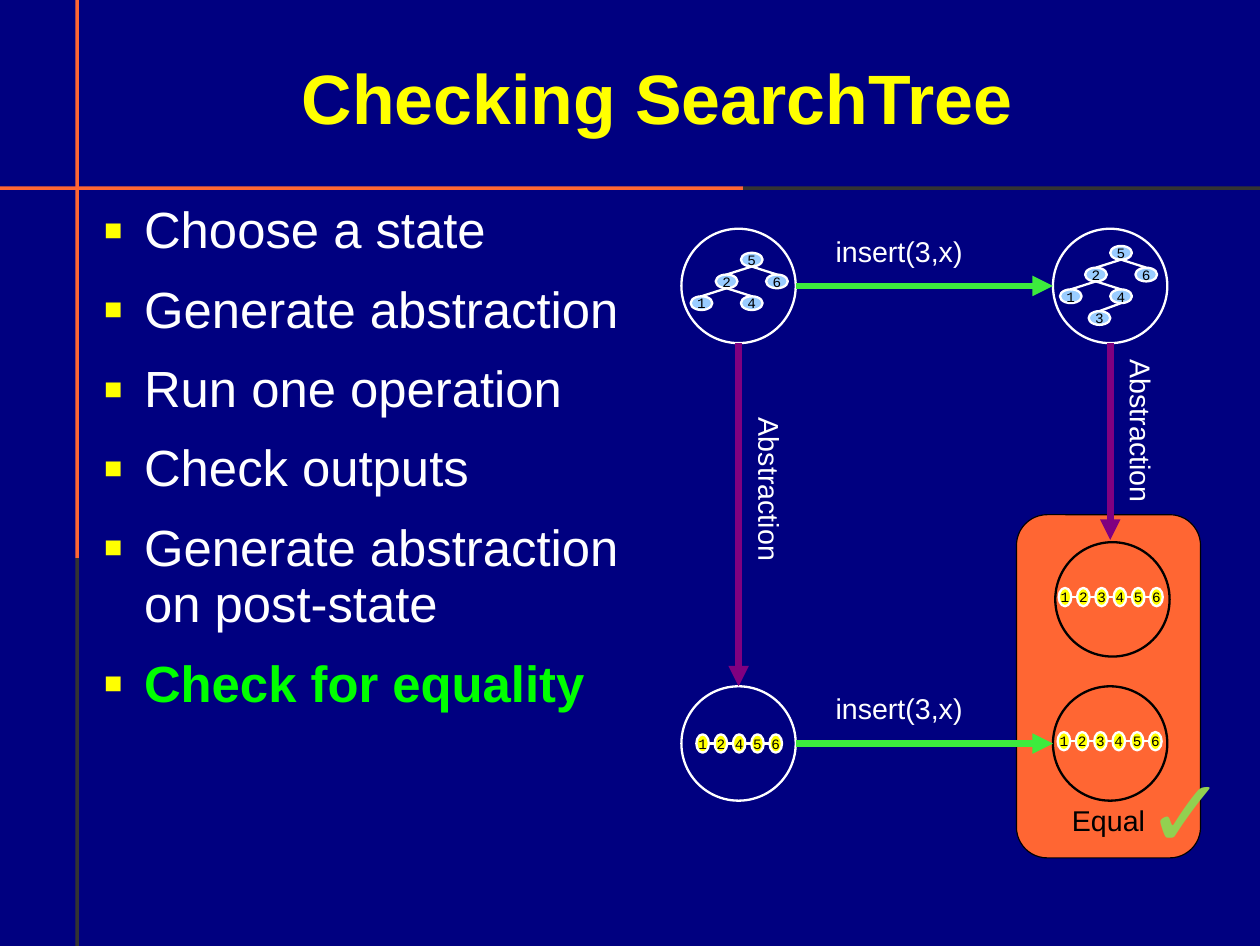
from lxml.etree import SubElement
from pptx import Presentation
from pptx.dml.color import RGBColor
from pptx.enum.shapes import MSO_CONNECTOR, MSO_SHAPE
from pptx.enum.text import MSO_ANCHOR, PP_ALIGN
from pptx.oxml.ns import qn
from pptx.util import Inches, Pt

COLORS = {
    "navy": "000080", "orange": "FF6633", "gray": "333333", "yellow": "FFFF00",
    "white": "FFFFFF", "black": "000000", "lime": "00FF00", "sky": "99CCFF",
    "green": "3DEB3D", "purple": "800080", "check": "92D050",
}
WIDTH, HEIGHT = 11.02, 8.27
TITLE = "Checking SearchTree"
STEPS = [
    ("Choose a state", "white", False),
    ("Generate abstraction", "white", False),
    ("Run one operation", "white", False),
    ("Check outputs", "white", False),
    ("Generate abstraction on post-state", "white", False),
    ("Check for equality", "lime", True),
]
RULES = [
    (0, 1.63, 6.5, 0.03, "orange"),
    (6.5, 1.63, WIDTH - 6.5, 0.03, "gray"),
    (0.66, 0, 0.03, 4.88, "orange"),
    (0.66, 4.88, 0.03, HEIGHT - 4.88, "gray"),
]
LABELS = [
    ("insert(3,x)", 7.21, 2, 1.5, 0.38, 0),
    ("insert(3,x)", 7.21, 6, 1.5, 0.38, 0),
    ("Abstraction", 5.94, 4.07, 1.5, 0.47, 90),
    ("Abstraction", 9.2, 3.58, 1.51, 0.44, 90),
]
ARROWS = [
    (6.96, 2.5, 9.21, 2.5, "green"),
    (6.46, 3, 6.46, 6, "purple"),
    (6.96, 6.5, 9.21, 6.5, "green"),
    (9.71, 3, 9.71, 4.72, "purple"),
]
STATES = [
    (5.96, 2, "white"), (9.21, 2, "white"), (5.96, 6, "white"),
    (9.21, 6, "black"), (9.23, 4.74, "black"),
]
PRE_TREE = {"5": (0, 0, None), "2": (-1, 1, "5"), "6": (1, 1, "5"),
            "1": (-2, 2, "2"), "4": (0, 2, "2")}
POST_TREE = {**PRE_TREE, "3": (-0.86, 3, "4")}
TREES = [(6.48, 2.21, PRE_TREE), (9.71, 2.15, POST_TREE)]
LISTS = [(6.09, 6.42, "12456"), (9.25, 6.4, "123456"), (9.26, 5.14, "123456")]
TREE_NODE = (0.19, 0.12)
LIST_NODE = (0.11, 0.16)
COLUMN, ROW, LIST_STEP = 0.22, 0.19, 0.16

deck = Presentation()
deck.slide_width, deck.slide_height = Inches(WIDTH), Inches(HEIGHT)
slide = deck.slides.add_slide(deck.slide_layouts[6])


def color(name):
    return RGBColor.from_string(COLORS[name])


def write(paragraph, text, size, ink, font="Arial", bold=False, spacing=0.93):
    paragraph.line_spacing = spacing
    run = paragraph.add_run()
    run.text = text
    run.font.name, run.font.size, run.font.bold = font, Pt(size), bold
    run.font.color.rgb = color(ink)


def set_insets(frame, left, top, right, bottom):
    frame.margin_left, frame.margin_top = Inches(left), Inches(top)
    frame.margin_right, frame.margin_bottom = Inches(right), Inches(bottom)


def add_text_frame(x, y, w, h, insets, rotation=0):
    box = slide.shapes.add_textbox(Inches(x), Inches(y), Inches(w), Inches(h))
    box.rotation = rotation
    box.text_frame.word_wrap = True
    set_insets(box.text_frame, *insets)
    return box.text_frame


def add_figure(preset, x, y, w, h, fill=None, line=None, line_width=1.45):
    figure = slide.shapes.add_shape(preset, Inches(x), Inches(y), Inches(w), Inches(h))
    figure.shadow.inherit = False
    if fill:
        figure.fill.solid()
        figure.fill.fore_color.rgb = color(fill)
    else:
        figure.fill.background()
    if line:
        figure.line.color.rgb = color(line)
        figure.line.width = Pt(line_width)
    else:
        figure.line.fill.background()
    return figure


def add_line(x1, y1, x2, y2, ink="white", width=1.45, arrow=False):
    link = slide.shapes.add_connector(
        MSO_CONNECTOR.STRAIGHT, Inches(x1), Inches(y1), Inches(x2), Inches(y2))
    link.line.color.rgb = color(ink)
    link.line.width = Pt(width)
    if arrow:
        SubElement(link.line._get_or_add_ln(), qn("a:tailEnd"), type="triangle")
    SubElement(link._element.spPr, qn("a:effectLst"))


def add_node(value, x, y, size, fill):
    frame = add_figure(MSO_SHAPE.OVAL, x, y, *size, fill, "white").text_frame
    frame.word_wrap = False
    frame.vertical_anchor = MSO_ANCHOR.MIDDLE
    set_insets(frame, 0.1, 0.06, 0.1, 0.06)
    frame.paragraphs[0].alignment = PP_ALIGN.CENTER
    write(frame.paragraphs[0], value, 9, "black", "Courier New", spacing=1.0)


def add_bullet(paragraph):
    properties = paragraph._p.get_or_add_pPr()
    properties.set("marL", str(Inches(0.47)))
    properties.set("indent", str(Inches(-0.35)))
    tint = SubElement(properties, qn("a:buClr"))
    SubElement(tint, qn("a:srgbClr"), val=COLORS["yellow"])
    SubElement(properties, qn("a:buSzPct"), val="60000")
    SubElement(properties, qn("a:buFont"), typeface="Arial")
    SubElement(properties, qn("a:buChar"), char="■")


slide.background.fill.solid()
slide.background.fill.fore_color.rgb = color("navy")
for x, y, w, h, fill in RULES:
    add_figure(MSO_SHAPE.RECTANGLE, x, y, w, h, fill)

heading = add_text_frame(0.79, 0.17, 9.92, 1.38, (0, 0.04, 0, 0))
heading.vertical_anchor = MSO_ANCHOR.MIDDLE
heading.paragraphs[0].alignment = PP_ALIGN.CENTER
write(heading.paragraphs[0], TITLE, 44, "yellow", bold=True)

steps = add_text_frame(0.79, 1.75, 4.96, 6.25, (0, 0.03, 0, 0))
for index, (text, ink, bold) in enumerate(STEPS):
    step = steps.add_paragraph() if index else steps.paragraphs[0]
    step.space_after = Pt(14.2)
    add_bullet(step)
    write(step, text, 32, ink, bold=bold)

equal = add_figure(MSO_SHAPE.ROUNDED_RECTANGLE, 8.89, 4.5, 1.61, 3,
                   "orange", "black", 0.75).text_frame
equal.vertical_anchor = MSO_ANCHOR.BOTTOM
set_insets(equal, 0.1, 0.07, 0.1, 0.1)
equal.paragraphs[0].alignment = PP_ALIGN.CENTER
write(equal.paragraphs[0], "Equal", 18, "black")

for text, x, y, w, h, rotation in LABELS:
    label = add_text_frame(x, y, w, h, (0.1, 0.07, 0.1, 0.05), rotation)
    write(label.paragraphs[0], text, 18, "white")

for x, y, outline in STATES:
    add_figure(MSO_SHAPE.OVAL, x, y, 1, 1, line=outline)

for x1, y1, x2, y2, ink in ARROWS:
    add_line(x1, y1, x2, y2, ink, 4.31, True)

for root_x, root_y, tree in TREES:
    node_w, node_h = TREE_NODE
    spots = {value: (root_x + column * COLUMN, root_y + row * ROW)
             for value, (column, row, parent) in tree.items()}
    for value, (x, y) in spots.items():
        add_node(value, x, y, TREE_NODE, "sky")
        parent = tree[value][2]
        if parent:
            parent_x, parent_y = spots[parent]
            add_line(parent_x + node_w / 2, parent_y + node_h, x + node_w / 2, y)

for start, y, values in LISTS:
    node_w, node_h = LIST_NODE
    for index, value in enumerate(values):
        x = start + index * LIST_STEP
        add_node(value, x, y, LIST_NODE, "yellow")
        if index:
            add_line(x - LIST_STEP + node_w, y + node_h / 2, x, y + node_h / 2)

check = add_text_frame(9.93, 6.62, 0.92, 1.04, (0.1, 0.05, 0.1, 0.05))
write(check.paragraphs[0], "✓", 60, "check")

deck.save("out.pptx")
